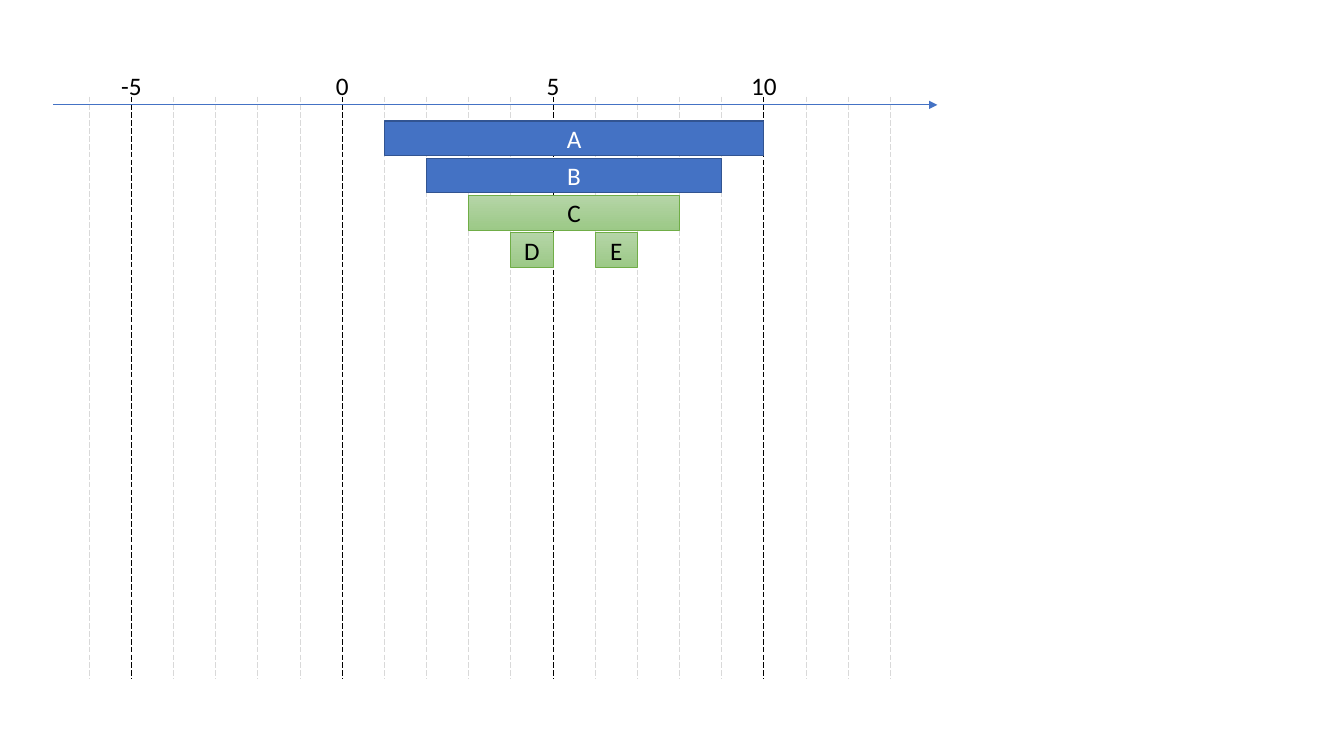
from lxml import etree
from pptx import Presentation
from pptx.dml.color import RGBColor
from pptx.enum.dml import MSO_LINE
from pptx.enum.shapes import MSO_CONNECTOR, MSO_SHAPE
from pptx.enum.text import MSO_ANCHOR, PP_ALIGN
from pptx.oxml.ns import qn
from pptx.util import Pt

STRAIGHT = MSO_CONNECTOR.STRAIGHT
RECTANGLE = MSO_SHAPE.RECTANGLE
LONG_DASH = MSO_LINE.LONG_DASH
MIDDLE = MSO_ANCHOR.MIDDLE
CENTER = PP_ALIGN.CENTER

COLORS = {
    "blue": "4472C4",
    "blue_edge": "325491",
    "green_top": "B5D5A7",
    "green_bottom": "9CC987",
    "green_edge": "70AD47",
    "grid": "D9D9D9",
    "black": "000000",
    "white": "FFFFFF",
}

BAR_STYLES = {
    "blue": {"fill": ["blue"], "edge": "blue_edge", "width": 1, "text": "white"},
    "green": {"fill": ["green_top", "green_bottom"], "edge": "green_edge",
              "width": 0.5, "text": "black"},
}

BARS = [
    ("A", 1, 10, 0, "blue"),
    ("B", 2, 9, 1, "blue"),
    ("C", 3, 8, 2, "green"),
    ("D", 4, 5, 3, "green"),
    ("E", 6, 7, 3, "green"),
]

ORIGIN, UNIT = 244.4, 30.12
FIRST_TICK, LAST_TICK, MAJOR_STEP = -6, 13, 5
GRID_TOP, GRID_BOTTOM = 69.1, 484.6
AXIS_LEFT, AXIS_RIGHT, AXIS_Y = 38.2, 669.6, 74.9
BAR_TOP, BAR_HEIGHT, BAR_PITCH = 86.4, 24.6, 26.65
LABELS_LEFT, LABELS_TOP, LABELS_WIDTH, LABELS_HEIGHT = 76, 46.8, 494, 29


def color(name):
    return RGBColor.from_string(COLORS[name])


def position(value):
    return ORIGIN + value * UNIT


def style_font(run, color_name):
    for name, value in {"name": "Calibri", "size": Pt(18)}.items():
        setattr(run.font, name, value)
    run.font.color.rgb = color(color_name)


def add_line(slide, start, end, color_name, dash=None, arrow=False):
    connector = slide.shapes.add_connector(STRAIGHT, *map(Pt, start + end))
    connector.line.color.rgb = color(color_name)
    connector.line.width = Pt(0.5)
    if dash:
        connector.line.dash_style = dash
    if arrow:
        line = connector.line._get_or_add_ln()
        etree.SubElement(line, qn("a:tailEnd"), type="triangle")
    etree.SubElement(connector._element.spPr, qn("a:effectLst"))


def add_tick_labels(slide, values):
    box = slide.shapes.add_textbox(
        Pt(LABELS_LEFT), Pt(LABELS_TOP), Pt(LABELS_WIDTH), Pt(LABELS_HEIGHT))
    frame = box.text_frame
    settings = {"word_wrap": True, "margin_left": 0, "margin_right": 0}
    for name, value in settings.items():
        setattr(frame, name, value)
    paragraph = frame.paragraphs[0]
    tabs = etree.SubElement(paragraph._p.get_or_add_pPr(), qn("a:tabLst"))
    for value in values:
        stop = Pt(position(value) - LABELS_LEFT)
        etree.SubElement(tabs, qn("a:tab"), pos=str(int(stop)), algn="ctr")
    run = paragraph.add_run()
    run.text = "".join(f"\t{value}" for value in values)
    style_font(run, "black")


def fill_bar(shape, color_names):
    if len(color_names) == 1:
        shape.fill.solid()
        shape.fill.fore_color.rgb = color(color_names[0])
        return
    shape.fill.gradient()
    shape.fill.gradient_angle = 270
    for stop, name in zip(shape.fill.gradient_stops, color_names):
        stop.color.rgb = color(name)


def add_bar(slide, label, start, end, row, style_name):
    style = BAR_STYLES[style_name]
    shape = slide.shapes.add_shape(
        RECTANGLE, Pt(position(start)), Pt(BAR_TOP + row * BAR_PITCH),
        Pt((end - start) * UNIT), Pt(BAR_HEIGHT))
    shape.shadow.inherit = False
    fill_bar(shape, style["fill"])
    shape.line.color.rgb = color(style["edge"])
    shape.line.width = Pt(style["width"])
    shape.text_frame.vertical_anchor = MIDDLE
    paragraph = shape.text_frame.paragraphs[0]
    paragraph.alignment = CENTER
    run = paragraph.add_run()
    run.text = label
    style_font(run, style["text"])


def main():
    presentation = Presentation()
    presentation.slide_width, presentation.slide_height = Pt(960), Pt(540)
    slide = presentation.slides.add_slide(presentation.slide_layouts[6])

    add_line(slide, (AXIS_LEFT, AXIS_Y), (AXIS_RIGHT, AXIS_Y), "blue", arrow=True)
    ticks = range(FIRST_TICK, LAST_TICK + 1)
    major_ticks = [tick for tick in ticks if tick % MAJOR_STEP == 0]
    for tick in ticks:
        x = position(tick)
        color_name = "black" if tick in major_ticks else "grid"
        add_line(slide, (x, GRID_TOP), (x, GRID_BOTTOM), color_name, LONG_DASH)
    add_tick_labels(slide, major_ticks)
    for bar in BARS:
        add_bar(slide, *bar)

    presentation.save("out.pptx")


if __name__ == "__main__":
    main()
